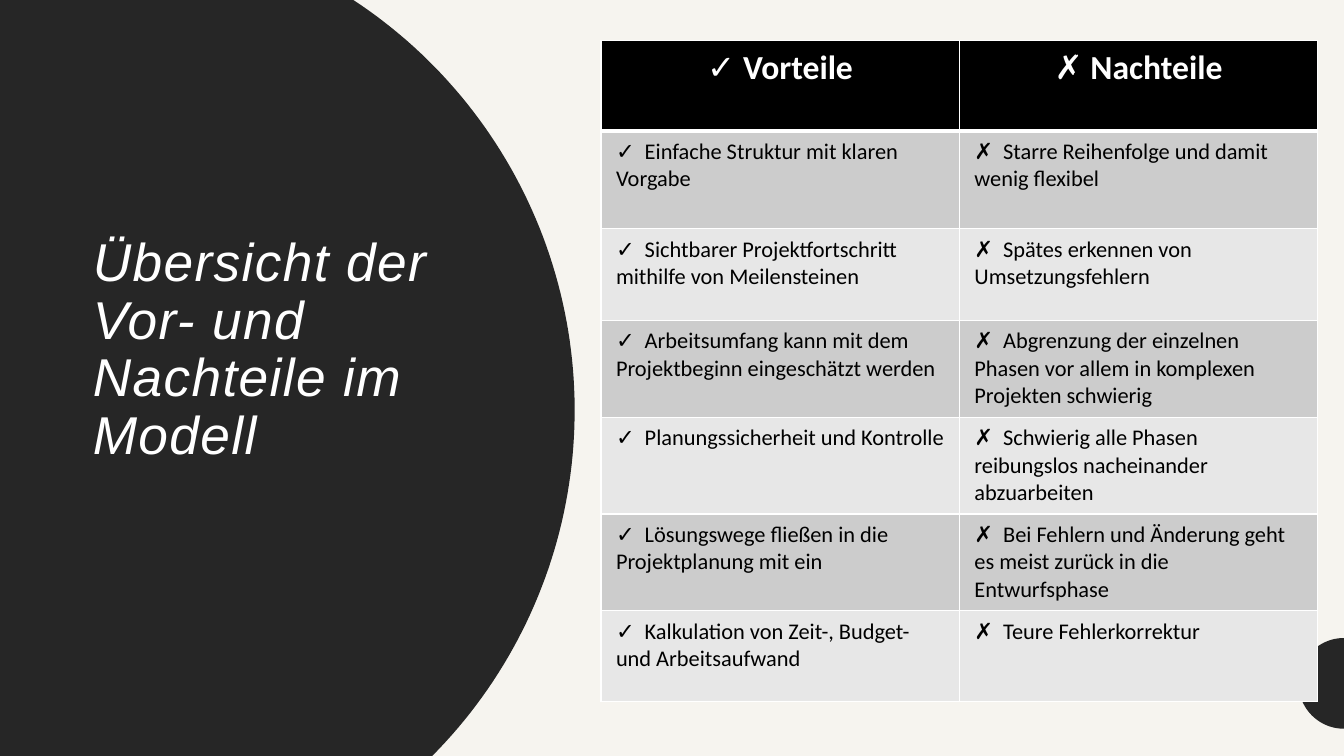
import math

import pptx
import pptx.dml.color
import pptx.enum.text
import pptx.oxml
import pptx.oxml.ns
import pptx.util
from pptx.util import Inches

WIDTH, HEIGHT = 13.33, 7.5
DARK, CREAM, WHITE, BLACK = "262626", "F6F4EF", "FFFFFF", "000000"
BANDS = ("CCCCCC", "E7E7E7")
MARKS = ("✓", "✗")
HEADERS = ("Vorteile", "Nachteile")
ROWS = [
    ("Einfache Struktur mit klaren Vorgabe",
     "Starre Reihenfolge und damit wenig flexibel"),
    ("Sichtbarer Projektfortschritt mithilfe von Meilensteinen",
     "Spätes erkennen von Umsetzungsfehlern"),
    ("Arbeitsumfang kann mit dem Projektbeginn eingeschätzt werden",
     "Abgrenzung der einzelnen Phasen vor allem in komplexen Projekten schwierig"),
    ("Planungssicherheit und Kontrolle",
     "Schwierig alle Phasen reibungslos nacheinander abzuarbeiten"),
    ("Lösungswege fließen in die Projektplanung mit ein",
     "Bei Fehlern und Änderung geht es meist zurück in die Entwurfsphase"),
    ("Kalkulation von Zeit-, Budget- und Arbeitsaufwand",
     "Teure Fehlerkorrektur"),
]


def paint(fill, color):
    fill.solid()
    fill.fore_color.rgb = pptx.dml.color.RGBColor.from_string(color)


def style_run(r, font, size, color, bold=False, italic=False):
    r.font.name = font
    r.font.size = pptx.util.Pt(size)
    r.font.bold = bold
    r.font.italic = italic
    paint(r.font.fill, color)


def arc(cx, cy, radius, start, end, steps=90):
    """Return points on a circle between two angles in radians."""
    angles = [start + (end - start) * i / steps for i in range(steps + 1)]
    return [(cx + radius * math.cos(a), cy + radius * math.sin(a)) for a in angles]


def add_outline(s, points):
    points = [(Inches(x), Inches(y)) for x, y in points]
    builder = s.shapes.build_freeform(*points[0])
    builder.add_line_segments(points[1:], close=True)
    sp = builder.convert_to_shape()
    sp.shadow.inherit = False
    paint(sp.fill, DARK)
    sp.line.fill.background()


def add_side_panel(s, right, cy, radius):
    """Draw the dark disc, cut off by the slide and filled out to its left edge."""
    curve = arc(right - radius, cy, radius,
                math.asin(-cy / radius), math.asin((HEIGHT - cy) / radius))
    add_outline(s, [(0, 0), *curve, (0, HEIGHT)])


def add_edge_dot(s, cy, radius):
    add_outline(s, arc(WIDTH, cy, radius, math.pi / 2, 3 * math.pi / 2))


def add_title(s, left, top, width, height):
    title = s.shapes.title
    title.element.getparent().append(title.element)  # in front of the panel
    title.left, title.top = Inches(left), Inches(top)
    title.width, title.height = Inches(width), Inches(height)
    tf = title.text_frame
    tf.word_wrap = True
    tf.auto_size = pptx.enum.text.MSO_AUTO_SIZE.NONE
    tf.vertical_anchor = pptx.enum.text.MSO_ANCHOR.BOTTOM
    tf.margin_bottom = Inches(1.17)
    tf.text = "Übersicht der\vVor- und Nachteile im Modell"
    p = tf.paragraphs[0]
    p.alignment = pptx.enum.text.PP_ALIGN.LEFT
    p.line_spacing = 0.9
    for r in p.runs:
        style_run(r, "Arial", 38, WHITE, italic=True)
        r.font._element.set("spc", "100")


def format_cell(cell, color, top_width=1, bottom_width=1):
    cell.margin_left = cell.margin_right = Inches(0.15)
    cell.margin_top = cell.margin_bottom = Inches(0.07)
    tc_pr = cell._tc.get_or_add_tcPr()
    for side, points in zip("LRTB", (1, 1, top_width, bottom_width)):
        tc_pr.append(pptx.oxml.parse_xml(
            f'<a:ln{side} {pptx.oxml.ns.nsdecls("a")} w="{points * 12700}">'
            f'<a:solidFill><a:srgbClr val="{WHITE}"/></a:solidFill></a:ln{side}>'))
    paint(cell.fill, color)


def add_comparison(s, left, top, width, heights):
    table = s.shapes.add_table(
        len(heights), len(HEADERS), Inches(left), Inches(top),
        Inches(width), Inches(sum(heights))).table
    for row, height in zip(table.rows, heights):
        row.height = Inches(height)

    for col, (mark, header) in enumerate(zip(MARKS, HEADERS)):
        cell = table.cell(0, col)
        format_cell(cell, BLACK, bottom_width=3)
        p = cell.text_frame.paragraphs[0]
        p.alignment = pptx.enum.text.PP_ALIGN.CENTER
        for text, bold in ((f"{mark} ", False), (header, True)):
            r = p.add_run()
            r.text = text
            style_run(r, "Calibri", 24, WHITE, bold=bold)

    for i, texts in enumerate(ROWS):
        for col, (mark, text) in enumerate(zip(MARKS, texts)):
            cell = table.cell(i + 1, col)
            format_cell(cell, BANDS[i % 2], top_width=1 if i else 3)
            p = cell.text_frame.paragraphs[0]
            p.text = f"{mark}  {text}"
            style_run(p.runs[0], "Calibri", 16, BLACK)


def main():
    prs = pptx.Presentation()
    prs.slide_width, prs.slide_height = Inches(WIDTH), Inches(HEIGHT)
    s = prs.slides.add_slide(prs.slide_layouts[5])
    paint(s.background.fill, CREAM)
    add_side_panel(s, right=5.7, cy=4.07, radius=4.87)
    add_title(s, 0.82, 1.23, 4.38, 4.56)
    add_edge_dot(s, cy=6.78, radius=0.45)
    add_comparison(s, 5.96, 0.4, 7.11, [0.9, 0.97, 0.91, 0.96, 0.96, 0.96, 0.9])
    prs.save("out.pptx")


if __name__ == "__main__":
    main()
